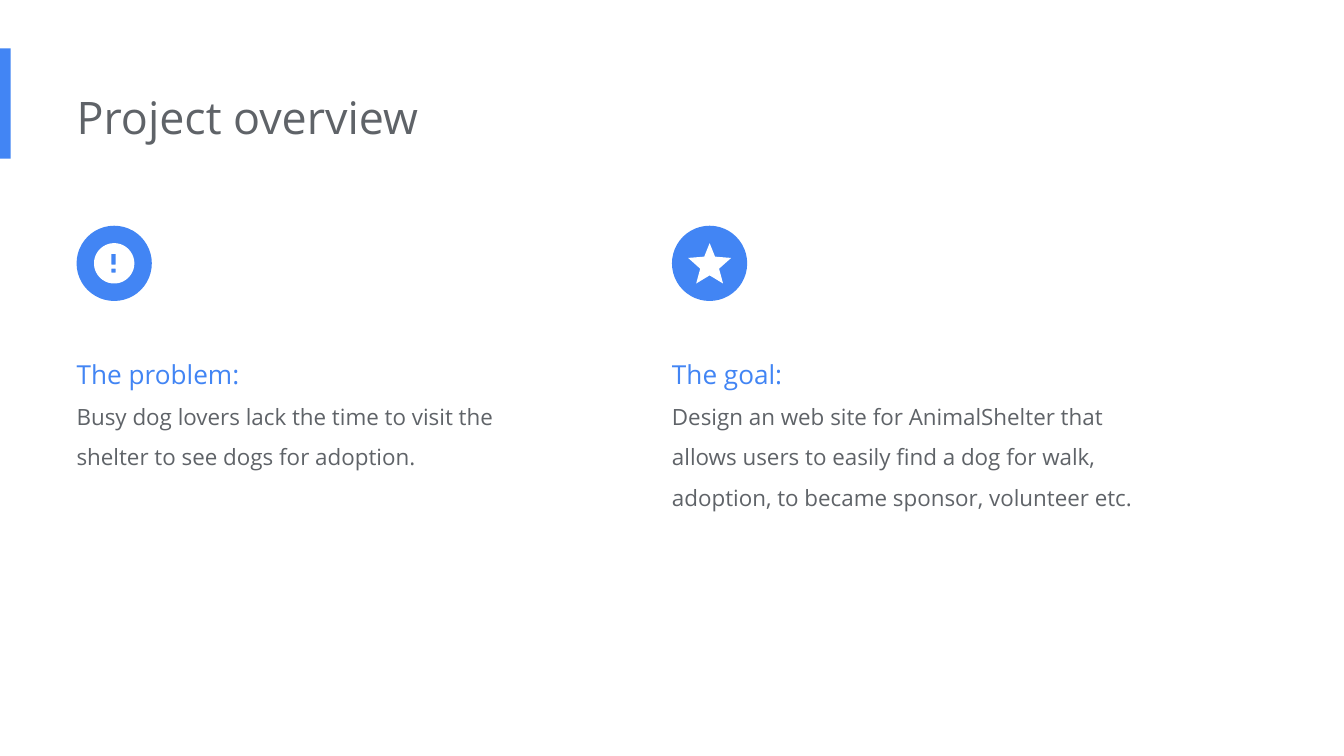
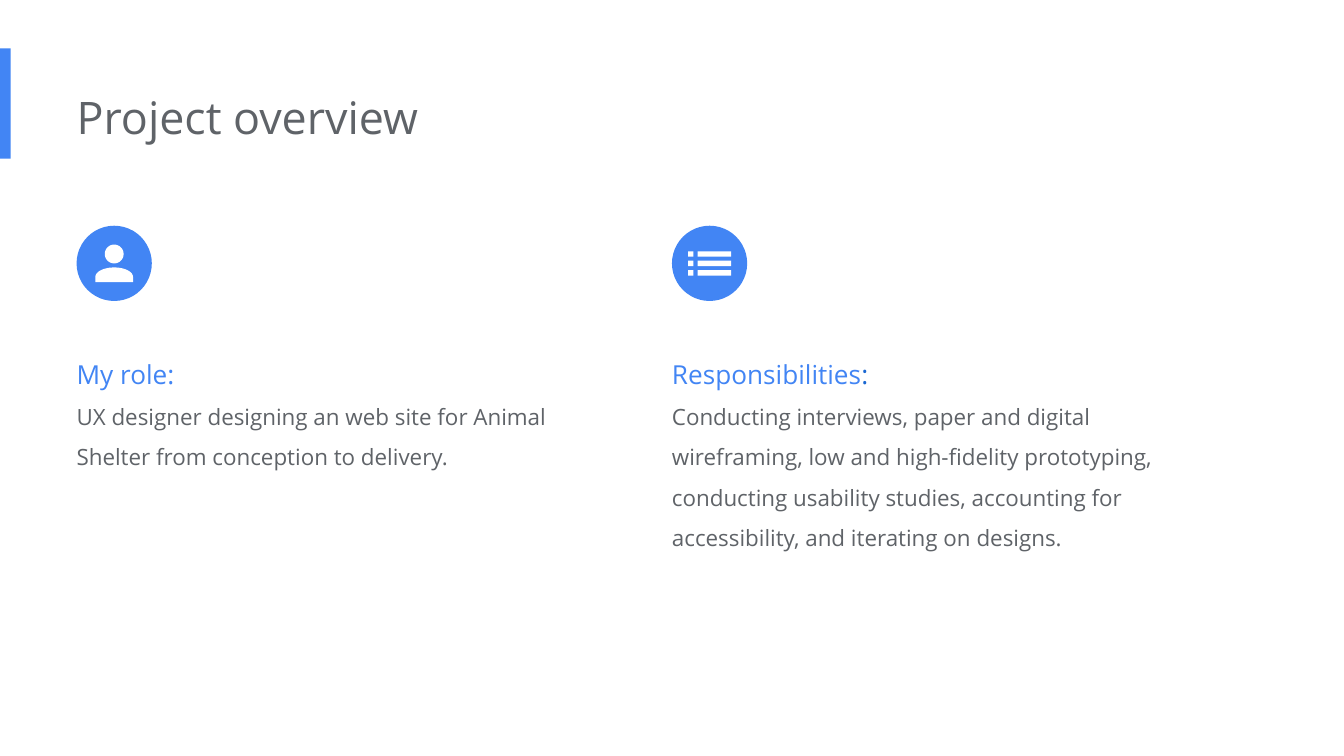
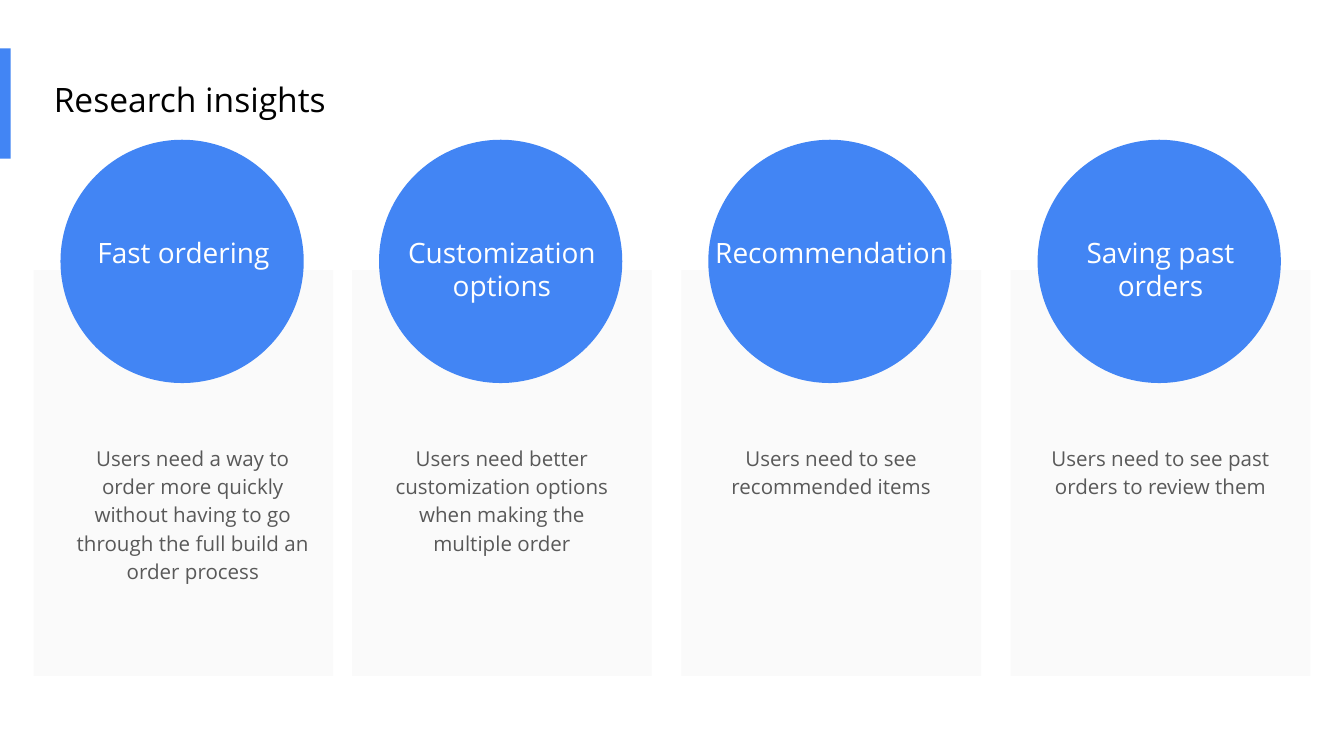
"""Build three slides: two project overviews and the research insights."""
from math import cos, radians, sin

from pptx import Presentation
from pptx.dml.color import RGBColor
from pptx.enum.shapes import MSO_SHAPE as Shape
from pptx.enum.text import MSO_ANCHOR as Anchor, MSO_AUTO_SIZE as AutoSize, PP_ALIGN as Align
from pptx.util import Inches, Pt

BLUE = RGBColor(0x42, 0x85, 0xF4)
DEEP_BLUE = RGBColor(0x19, 0x67, 0xD2)
SLATE = RGBColor(0x5F, 0x63, 0x68)
GRAY = RGBColor(0x59, 0x59, 0x59)
PALE = RGBColor(0xFA, 0xFA, 0xFA)
BLACK = RGBColor(0, 0, 0)
WHITE = RGBColor(0xFF, 0xFF, 0xFF)
FONT = "Open Sans"


def rectangle(left, top, right, bottom):
    return [(left, top), (right, top), (right, bottom), (left, bottom)]


def arc(x, y, x_radius, y_radius, first=0, last=360):
    return [(x + x_radius * cos(radians(angle)), y + y_radius * sin(radians(angle)))
            for angle in range(first, last + 1, 5)]


ALERT = [arc(0.28, 0.28, 0.15, 0.15), rectangle(0.26, 0.21, 0.29, 0.29),
         rectangle(0.26, 0.32, 0.29, 0.35)]
STAR = [[(0.28, 0.37), (0.38, 0.43), (0.35, 0.32), (0.44, 0.24), (0.32, 0.23),
         (0.28, 0.13), (0.24, 0.23), (0.12, 0.24), (0.21, 0.32), (0.18, 0.43)]]
PERSON = [arc(0.28, 0.21, 0.07, 0.07),
          arc(0.28, 0.38, 0.14, 0.07, 180, 360) + [(0.42, 0.42), (0.14, 0.42)]]
CHECKLIST = [rectangle(left, top, right, top + 0.04)
             for top in (0.19, 0.26, 0.33) for left, right in ((0.12, 0.16), (0.19, 0.44))]

COLUMN_LEFTS = (0.57, 5)
OVERVIEWS = [
    [(ALERT, "The problem", BLUE, 1.46,
      "Busy dog lovers lack the time to visit the shelter to see dogs for adoption."),
     (STAR, "The goal", BLUE, 1.46,
      "Design an web site for AnimalShelter that allows users to easily find a dog for walk, "
      "adoption, to became sponsor, volunteer etc.")],
    [(PERSON, "My role", BLUE, 1.16,
      "UX designer designing an web site for Animal Shelter from conception to delivery."),
     (CHECKLIST, "Responsibilities", DEEP_BLUE, 1.77,
      "Conducting interviews, paper and digital wireframing, low and high-fidelity prototyping, "
      "conducting usability studies, accounting for accessibility, and iterating on designs.")],
]
INSIGHTS = [
    (0.25, 0.21, "Fast ordering",
     "Users need a way to order more quickly without having to go through the full build "
     "an order process"),
    (2.62, 0.14, "Customization options",
     "Users need better customization options when making the multiple order"),
    (5.07, 0.14, "Recommendation", "Users need to see recommended items"),
    (7.52, 0.14, "Saving past orders", "Users need to see past orders to review them"),
]


def paint(shape, color):
    shape.shadow.inherit = False
    shape.fill.solid()
    shape.fill.fore_color.rgb = color
    shape.line.fill.background()
    return shape


def add_block(page, kind, place, color):
    return paint(page.shapes.add_shape(kind, *map(Inches, place)), color)


def add_icon(page, left, top, outlines):
    first, *others = [[(Inches(x), Inches(y)) for x, y in outline] for outline in outlines]
    builder = page.shapes.build_freeform(*first[0])
    builder.add_line_segments(first[1:])
    for outline in others:
        builder.move_to(*outline[0])
        builder.add_line_segments(outline[1:])
    paint(builder.convert_to_shape(Inches(left), Inches(top)), WHITE)


def style(para, size, color, spacing=1.0, align=Align.LEFT):
    para.font.name = FONT
    para.font.size = Pt(size)
    para.font.color.rgb = color
    para.line_spacing = spacing
    para.alignment = align


def set_frame(box, left_inset=0.1, auto_size=AutoSize.NONE):
    frame = box.text_frame
    frame.word_wrap = True
    frame.auto_size = auto_size
    frame.vertical_anchor = Anchor.TOP
    frame.margin_left = Inches(left_inset)
    frame.margin_top = frame.margin_right = frame.margin_bottom = Inches(0.1)
    return frame


def add_text(page, place, text, *look):
    para = set_frame(page.shapes.add_textbox(*map(Inches, place))).paragraphs[0]
    para.text = text
    style(para, *look)


def add_page(deck, title, place, left_inset, *look):
    page = deck.slides.add_slide(deck.slide_layouts[5])
    box = page.shapes.title
    box.left, box.top, box.width, box.height = map(Inches, place)
    para = set_frame(box, left_inset).paragraphs[0]
    para.text = title
    style(para, *look)
    return page


def add_column(page, left, outlines, heading, colon_color, height, body):
    add_block(page, Shape.OVAL, (left, 1.68, 0.56, 0.56), BLUE)
    add_icon(page, left, 1.68, outlines)
    box = page.shapes.add_textbox(*map(Inches, (left, 2.45, 3.77, height)))
    frame = set_frame(box, 0, AutoSize.SHAPE_TO_FIT_TEXT)
    para = frame.paragraphs[0]
    para.text = heading
    style(para, 14, BLUE, 1.5)
    colon = para.add_run()
    colon.text = ":"
    colon.font.color.rgb = colon_color
    para = frame.add_paragraph()
    para.text = body
    style(para, 12, SLATE, 1.5)


def add_insights(page):
    for left, *_ in INSIGHTS:
        add_block(page, Shape.RECTANGLE, (left, 2.01, 2.23, 3.02), PALE)
        add_block(page, Shape.OVAL, (left + 0.2, 1.04, 1.81, 1.81), BLUE)
    for left, indent, label, detail in INSIGHTS:
        add_text(page, (left + 0.14, 1.65, 1.95, 0.59), label, 15, WHITE, 1.0, Align.CENTER)
        add_text(page, (left + indent, 3.19, 1.95, 1.38), detail, 11, GRAY, 1.15, Align.CENTER)


def main():
    deck = Presentation()
    deck.slide_width = Inches(10)
    deck.slide_height = deck.slide_width * 9 // 16
    for columns in OVERVIEWS:
        page = add_page(deck, "Project overview", (0.57, 0.57, 6.73, 0.61), 0, 24, SLATE)
        for left, column in zip(COLUMN_LEFTS, columns):
            add_column(page, left, *column)
    page = add_page(deck, "Research insights", (0.3, 0.44, 5.04, 0.53), 0.1, 18, BLACK, 1.15)
    add_insights(page)
    band = add_block(page, Shape.RECTANGLE, (0, 0.36, 0.08, 0.82), BLUE)
    page.slide_layout.shapes.element.append(band.element)
    deck.save("out.pptx")


if __name__ == "__main__":
    main()
